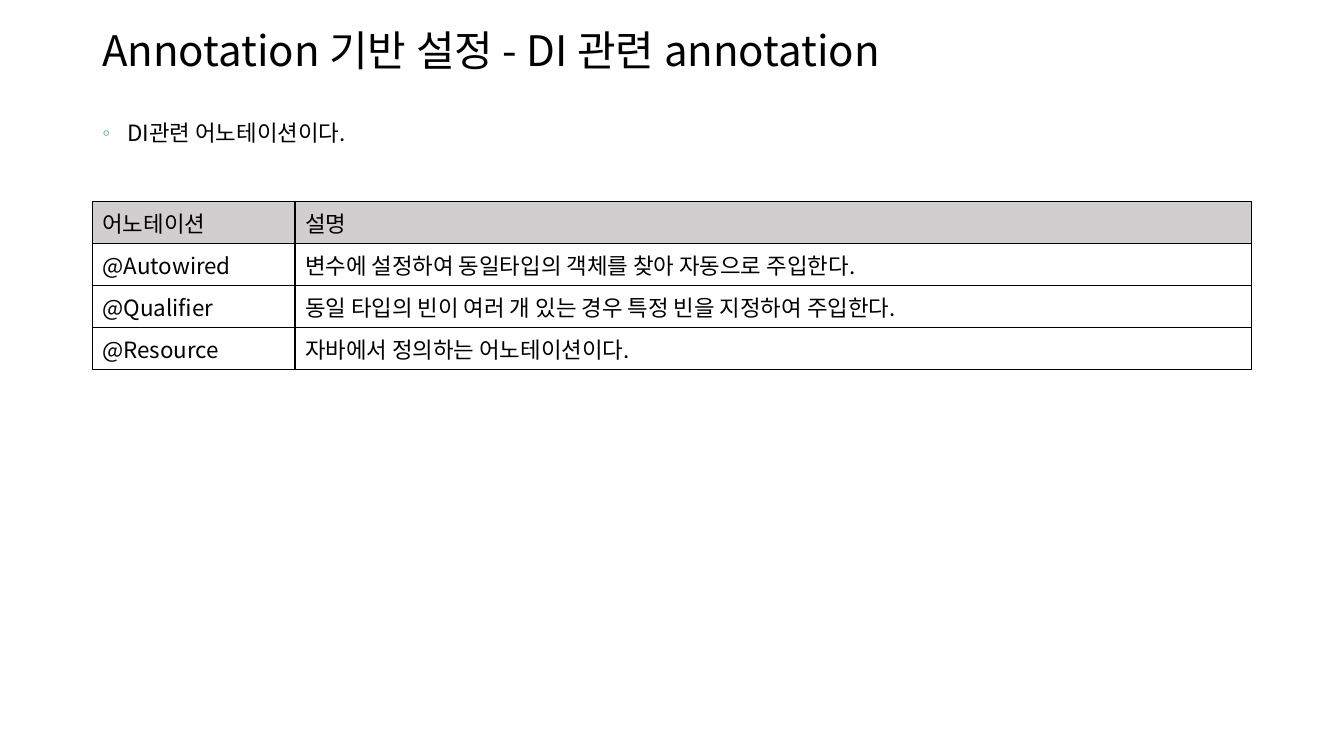
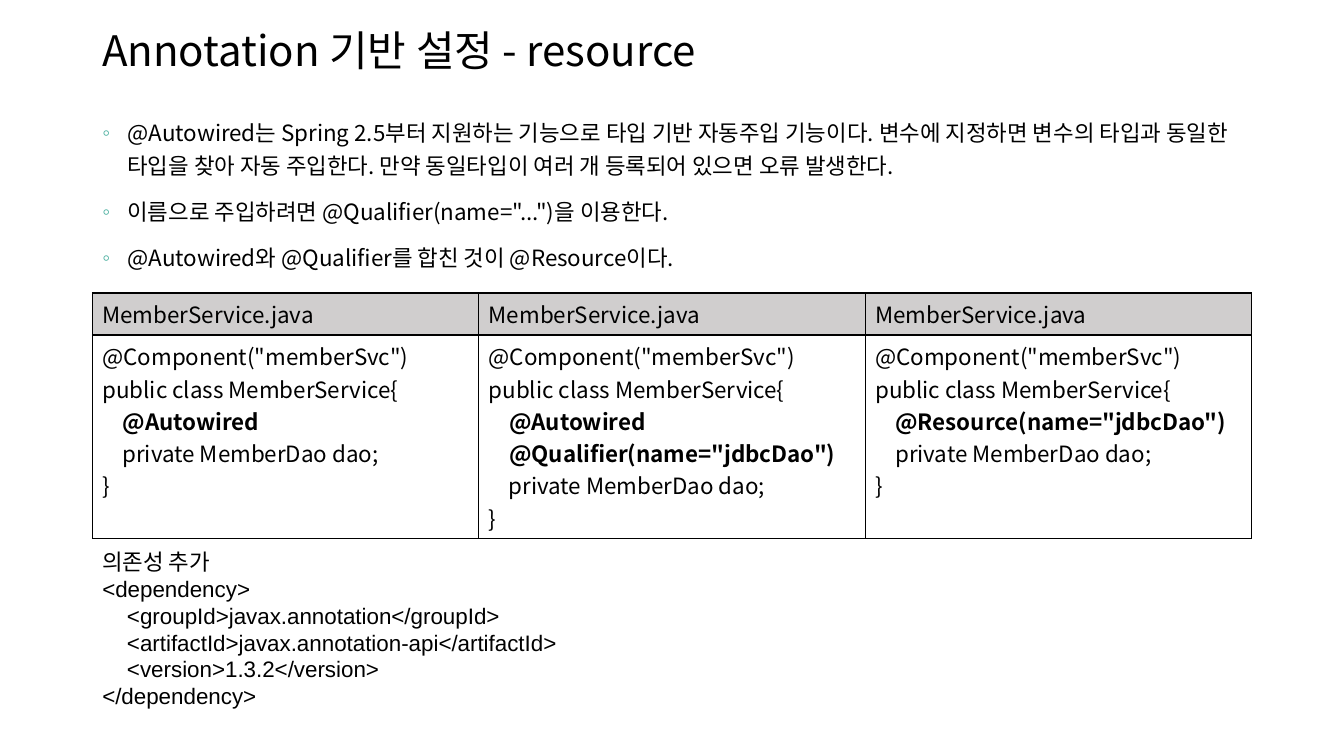
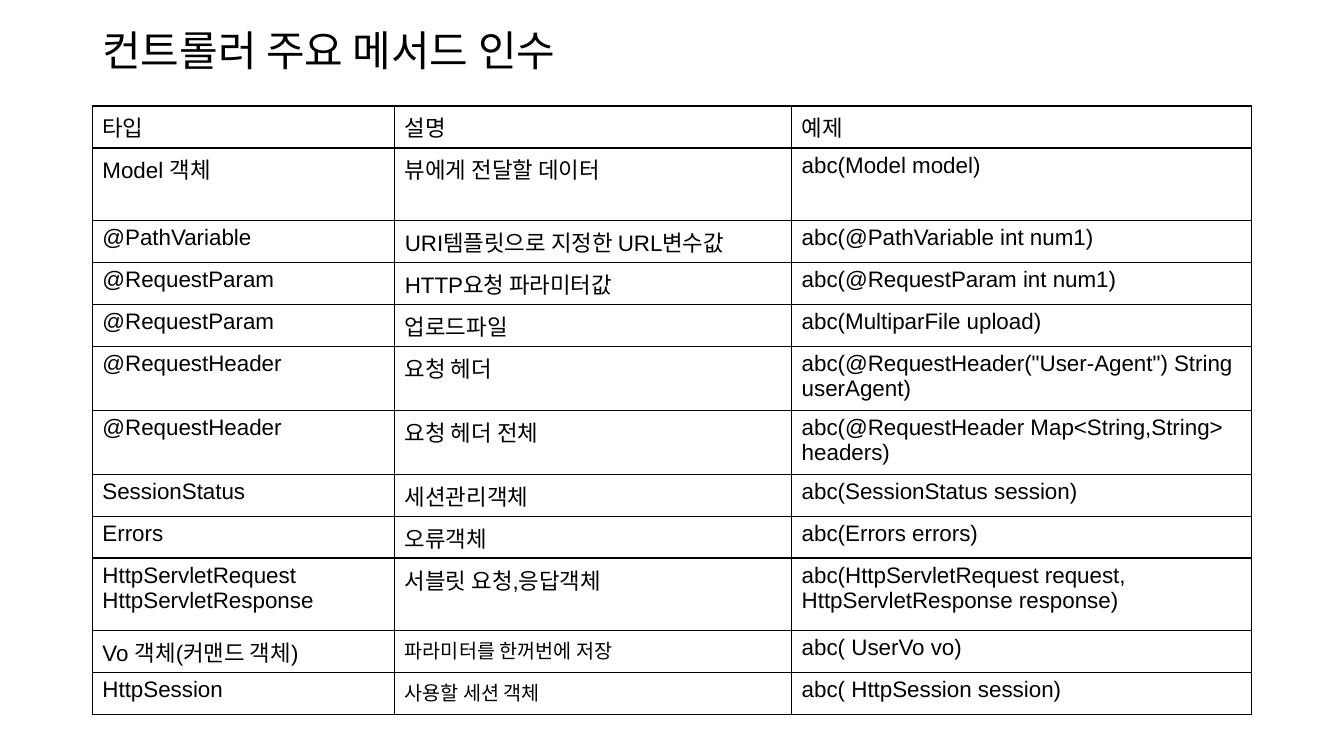
from lxml import etree
from pptx import Presentation
from pptx.dml.color import RGBColor
from pptx.enum.text import MSO_ANCHOR
from pptx.oxml.ns import qn
from pptx.util import Pt

PX = 9525
MIDDLE, TOP = MSO_ANCHOR.MIDDLE, MSO_ANCHOR.TOP
SANS, ARIAL = "Noto Sans CJK KR", "Arial"
HEX = {"ink": "000000", "head": "D0CECE", "dot": "4BB0A0"}
LEFT, WIDE, ROW = 88, 1104, 40
INDENT = 24


def write(frame, lines, size=16, face=SANS, lead=None, gap=0, dots=False):
    """Fill a text frame, one paragraph a line; indented annotations are bold."""
    frame.word_wrap = True
    for i, line in enumerate(lines):
        par = frame.add_paragraph() if i else frame.paragraphs[0]
        if dots:
            props = par._p.get_or_add_pPr()
            props.set("marL", str(INDENT * PX))
            props.set("indent", str(-INDENT * PX))
            tint = etree.SubElement(props, qn("a:buClr"))
            etree.SubElement(tint, qn("a:srgbClr"), val=HEX["dot"])
            etree.SubElement(props, qn("a:buFont"), typeface=ARIAL)
            etree.SubElement(props, qn("a:buChar"), char="◦")
        if lead:
            par.line_spacing = lead
        if i and gap:
            par.space_before = Pt(gap)
        # Row heights are measured from run fonts, so fonts are set on runs.
        run = par.add_run()
        run.text = line
        run.font.size = Pt(size)
        run.font.name = face
        run.font.color.rgb = RGBColor.from_string(HEX["ink"])
        if line.startswith("    @"):
            run.font.bold = True
        etree.SubElement(run._r.get_or_add_rPr(), qn("a:ea"), typeface=SANS)


def draw_grid(slide, top, cols, rows, cells, face=SANS, head=True, small=()):
    """Add a ruled table; cells whose text is in small are set at 14 points."""
    table = slide.shapes.add_table(len(rows), len(cols), LEFT * PX, top * PX,
                                   sum(cols) * PX, sum(rows) * PX).table
    table.first_row = table.horz_banding = False
    for col, width in zip(table.columns, cols):
        col.width = width * PX
    for r, (texts, height) in enumerate(zip(cells, rows)):
        table.rows[r].height = height * PX
        for c, text in enumerate(texts):
            cell = table.cell(r, c)
            if head and r == 0:
                cell.fill.solid()
                cell.fill.fore_color.rgb = RGBColor.from_string(HEX["head"])
            else:
                cell.fill.background()
            for k, side in enumerate(("lnL", "lnR", "lnT", "lnB")):
                edge = etree.Element(qn("a:" + side), w=str(Pt(1)))
                fill = etree.SubElement(edge, qn("a:solidFill"))
                etree.SubElement(fill, qn("a:srgbClr"), val=HEX["ink"])
                cell._tc.get_or_add_tcPr().insert(k, edge)
            write(cell.text_frame, text.split("\n"),
                  14 if text in small else 16, face)


deck = Presentation()
deck.slide_width, deck.slide_height = 1280 * PX, 720 * PX

PAGES = [
    ("Annotation 기반 설정 - DI 관련 annotation", ["DI관련 어노테이션이다."]),
    ("Annotation 기반 설정 - resource", [
        "@Autowired는 Spring 2.5부터 지원하는 기능으로 타입 기반 자동주입 기능이다. "
        "변수에 지정하면 변수의 타입과 동일한 타입을 찾아 자동 주입한다. "
        "만약 동일타입이 여러 개 등록되어 있으면 오류 발생한다.",
        '이름으로 주입하려면 @Qualifier(name="...")을 이용한다.',
        "@Autowired와 @Qualifier를 합친 것이 @Resource이다.",
    ]),
    ("컨트롤러 주요 메서드 인수", []),
]
slides = []
for title, points in PAGES:
    slide = deck.slides.add_slide(deck.slide_layouts[6])
    slides.append(slide)
    box = slide.shapes.add_textbox(LEFT * PX, 14 * PX, WIDE * PX, 73 * PX)
    box.text_frame.vertical_anchor = MIDDLE
    write(box.text_frame, [title], size=30, lead=0.9)
    if points:
        box = slide.shapes.add_textbox(LEFT * PX, 104 * PX, WIDE * PX, 544 * PX)
        box.text_frame.vertical_anchor = TOP
        write(box.text_frame, points, lead=1.2, gap=10, dots=True)
di, res, args = slides

# DI annotations
NOTES = [
    ("어노테이션", "설명"),
    ("@Autowired", "변수에 설정하여 동일타입의 객체를 찾아 자동으로 주입한다."),
    ("@Qualifier", "동일 타입의 빈이 여러 개 있는 경우 특정 빈을 지정하여 주입한다."),
    ("@Resource", "자바에서 정의하는 어노테이션이다."),
]
draw_grid(di, 192, [193, WIDE - 193], [ROW] * len(NOTES), NOTES)

# Three ways to inject
CODE = """@Component("memberSvc")
public class MemberService{
%s
    private MemberDao dao;
}"""
MARKS = [
    "    @Autowired",
    '    @Autowired\n    @Qualifier(name="jdbcDao")',
    '    @Resource(name="jdbcDao")',
]
draw_grid(res, 279, [WIDE // 3] * 3, [ROW, 194],
          [["MemberService.java"] * 3, [CODE % mark for mark in MARKS]])

DEPEND = """의존성 추가
<dependency>
    <groupId>javax.annotation</groupId>
    <artifactId>javax.annotation-api</artifactId>
    <version>1.3.2</version>
</dependency>"""
box = res.shapes.add_textbox(LEFT * PX, 512 * PX, WIDE * PX, 175 * PX)
box.text_frame.margin_top = box.text_frame.margin_bottom = 10 * PX
write(box.text_frame, DEPEND.split("\n"), face=ARIAL)

# Controller method arguments
TYPES = [
    ("타입", "설명", "예제"),
    ("Model 객체", "뷰에게 전달할 데이터", "abc(Model model)"),
    ("@PathVariable", "URI템플릿으로 지정한 URL변수값", "abc(@PathVariable int num1)"),
    ("@RequestParam", "HTTP요청 파라미터값", "abc(@RequestParam int num1)"),
    ("@RequestParam", "업로드파일", "abc(MultiparFile upload)"),
    ("@RequestHeader", "요청 헤더",
     'abc(@RequestHeader("User-Agent") String userAgent)'),
    ("@RequestHeader", "요청 헤더 전체",
     "abc(@RequestHeader Map<String,String> headers)"),
    ("SessionStatus", "세션관리객체", "abc(SessionStatus session)"),
    ("Errors", "오류객체", "abc(Errors errors)"),
    ("HttpServletRequest\nHttpServletResponse", "서블릿 요청,응답객체",
     "abc(HttpServletRequest request,\nHttpServletResponse response)"),
    ("Vo 객체(커맨드 객체)", "파라미터를 한꺼번에 저장", "abc( UserVo vo)"),
    ("HttpSession", "사용할 세션 객체", "abc( HttpSession session)"),
]
TALL = ("Model 객체", "HttpServletRequest\nHttpServletResponse")
draw_grid(args, 101, [288, 378, 438],
          [69 if row[0] in TALL else ROW for row in TYPES], TYPES,
          face=ARIAL, head=False,
          small=("파라미터를 한꺼번에 저장", "사용할 세션 객체"))

deck.save("out.pptx")
